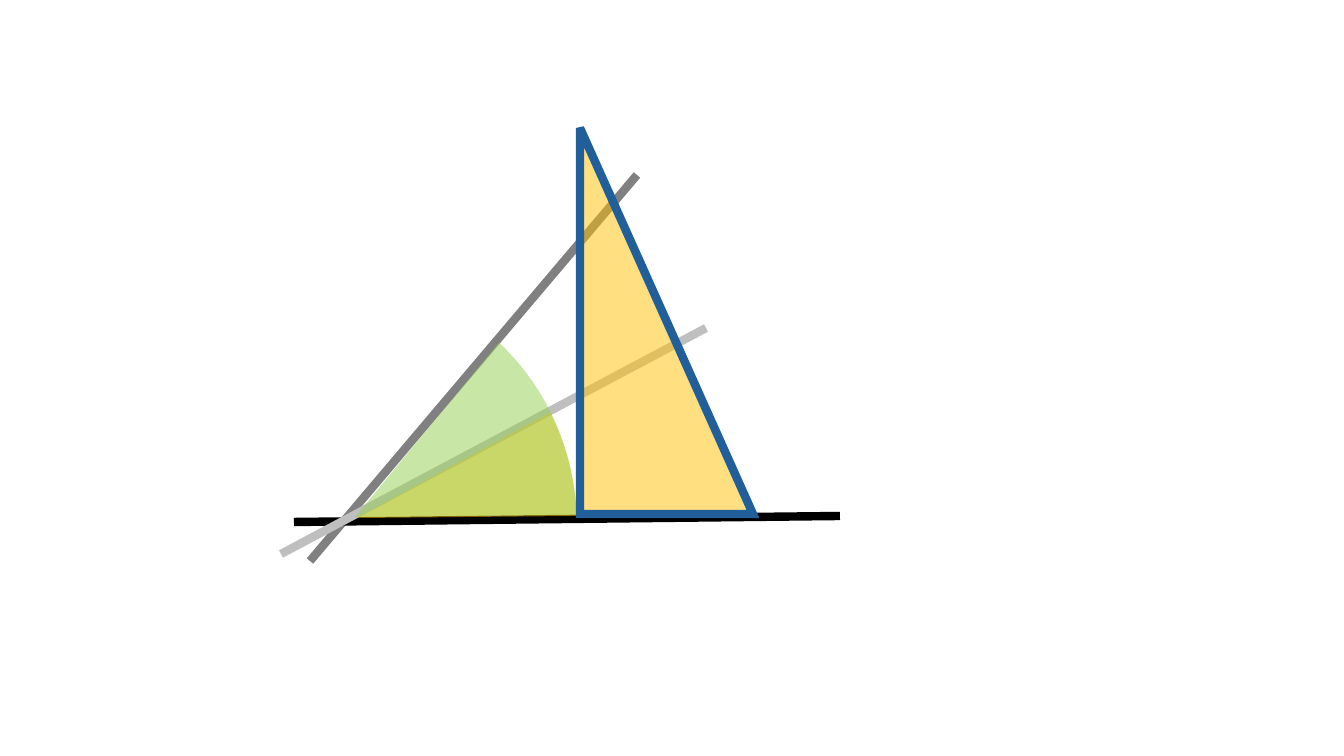
from pptx import Presentation
from pptx.dml.color import RGBColor
from pptx.enum.shapes import MSO_CONNECTOR as Conn, MSO_SHAPE as Kind
from pptx.oxml.ns import qn
from pptx.util import Pt
from lxml.etree import SubElement as Sub

SIZE = (1344, 756)
STROKE = 6
ALPHA = 50
TURN = 257

# Lines: start, end, colour
LINES = [
    ((310, 561), (637, 175), "808080"),
    ((294, 522), (840, 516), "000000"),
    ((281, 554), (706, 328), "BFBFBF"),
]
# Angle wedges: box, start and end in degrees, colour
WEDGES = [
    ((121, 299, 472, 438), (74.34, 102.46), "FFC000"),
    ((119, 296, 472, 442), (52.54, 102.46), "92D050"),
]
# Right triangle: box, fill, outline
SAIL = ((580, 128, 173, 386), "FFC000", "215F9A")


def px(*vals):
    return [round(v * 914400 / 100.8) for v in vals]


def paint(fill, tint):
    fill.solid()
    fill.fore_color.rgb = RGBColor.from_string(tint)


def stroke(line, tint):
    paint(line.fill, tint)
    line.width = Pt(STROKE)


def shape(kind, box, tint):
    item = slide.shapes.add_shape(kind, *px(*box))
    item.shadow.inherit = False
    paint(item.fill, tint)
    clr = item.fill._xPr.find(qn("a:solidFill"))[0]
    Sub(clr, qn("a:alpha"), val=str(ALPHA * 1000))
    return item


deck = Presentation()
deck.slide_width, deck.slide_height = px(*SIZE)
slide = deck.slides.add_slide(deck.slide_layouts[6])

# Lines of the angles
for start, end, tint in LINES:
    rule = slide.shapes.add_connector(Conn.STRAIGHT, *px(*start, *end))
    stroke(rule.line, tint)
    Sub(rule._element.spPr, qn("a:effectLst"))

# Angle wedges
for box, arc, tint in WEDGES:
    wedge = shape(Kind.PIE, box, tint)
    wedge.line.fill.background()
    wedge.rotation = TURN
    for i, deg in enumerate(arc):
        wedge.adjustments[i] = deg * 0.6

# Triangle with sharp corners
box, tint, edge = SAIL
sail = shape(Kind.RIGHT_TRIANGLE, box, tint)
stroke(sail.line, edge)
Sub(sail.line._get_or_add_ln(), qn("a:miter"), lim="800000")

deck.save("out.pptx")
